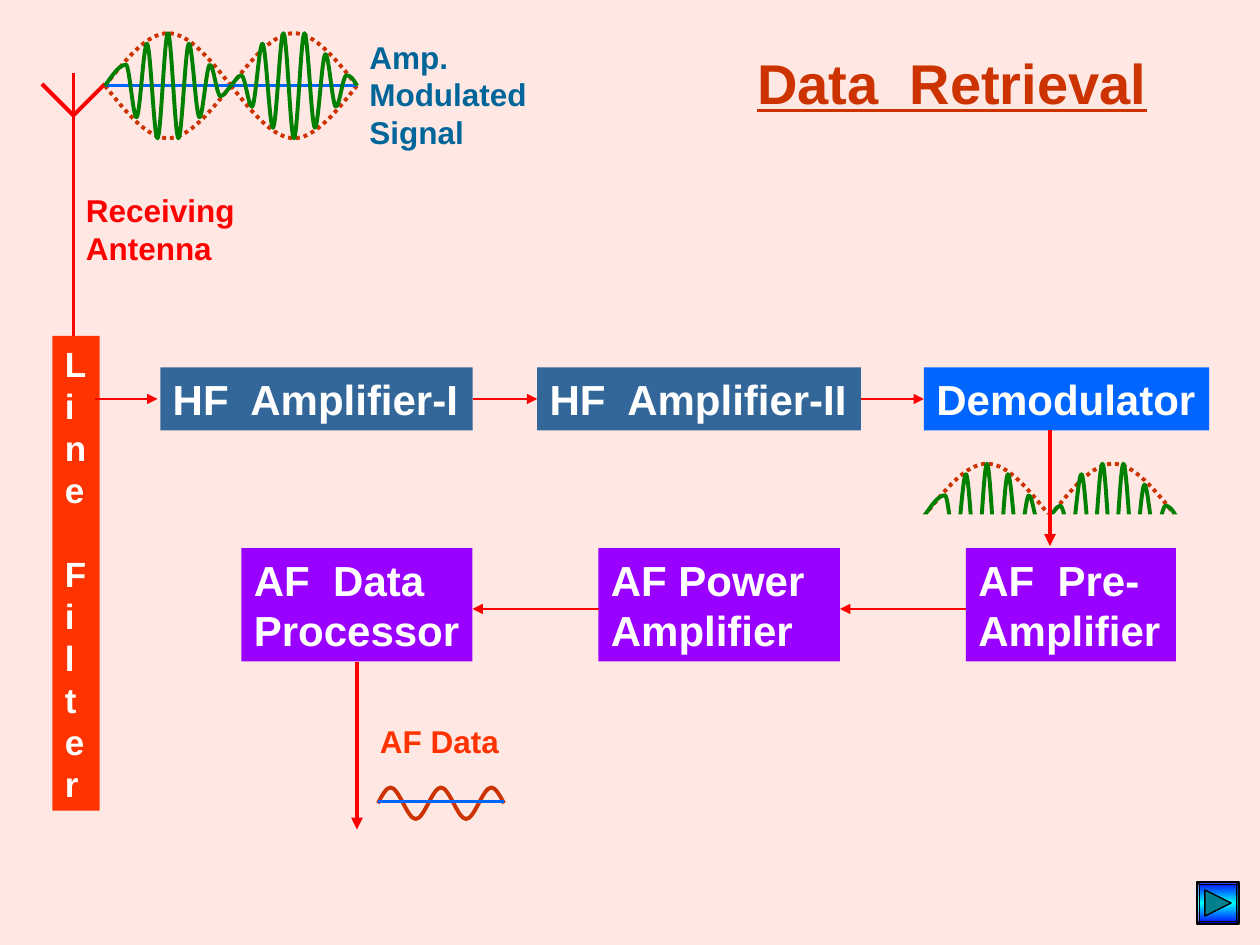
"""Build the Data Retrieval receiver block diagram slide."""
from dataclasses import dataclass
from copy import deepcopy

from lxml import etree
from pptx import Presentation
from pptx import util as u
from pptx.dml.color import RGBColor
from pptx.enum import dml, shapes, text
from pptx.oxml import ns

Pt = u.Pt
KIND = shapes.MSO_SHAPE


@dataclass(frozen=True)
class Theme:
    back: str = "FFE7E3"
    rust: str = "CC3300"
    red: str = "FF0000"
    flame: str = "FF3300"
    steel: str = "336699"
    blue: str = "0066FF"
    violet: str = "9900FF"
    teal: str = "006699"
    green: str = "008000"
    white: str = "FFFFFF"
    black: str = "000000"
    navy: str = "0000FF"
    cyan: str = "00FFFF"
    arrow: str = "007F8C"
    font: str = "Arial"
    head: int = 32
    large: int = 24
    mid: int = 20
    small: int = 18
    thick: float = 2.25
    thin: float = 1.5
    hair: float = 0.75


LOOK = Theme()
PEAKS = (-12, 18, -24, 30, -30, 30, -24, 18, -12, 6, 0,
         -6, 12, -24, 24, -30, 30, -30, 24, -18, 12, -6)


def tint(hue):
    return RGBColor.from_string(hue)


def apply(item, **values):
    for name, value in values.items():
        setattr(item, name, value)


def paint(shape, hue):
    shape.shadow.inherit = False
    shape.fill.solid()
    shape.fill.fore_color.rgb = tint(hue)
    shape.line.fill.background()


def stroke(line, hue, width):
    line.color.rgb = tint(hue)
    line.width = Pt(width)


def write(shape, words, size, hue, wrap=True, under=None):
    frame = shape.text_frame
    apply(frame, word_wrap=wrap, auto_size=text.MSO_AUTO_SIZE.SHAPE_TO_FIT_TEXT,
          vertical_anchor=text.MSO_ANCHOR.TOP, text=words)
    for para in frame.paragraphs:
        apply(para, alignment=text.PP_ALIGN.LEFT, line_spacing=Pt(1.2 * size))
        apply(para.font, name=LOOK.font, size=Pt(size), bold=True, underline=under)
        para.font.color.rgb = tint(hue)


def label(art, words, area, size, hue, **opts):
    write(art.add_textbox(*map(Pt, area)), words, size, hue, **opts)


def block(art, words, area, hue, size=LOOK.large, wrap=True):
    box = art.add_shape(KIND.RECTANGLE, *map(Pt, area))
    paint(box, hue)
    write(box, words, size, LOOK.white, wrap)
    return box


def wire(art, ends, hue=LOOK.red, width=LOOK.thick, tip=False, start=None, stop=None):
    link = art.add_connector(shapes.MSO_CONNECTOR.STRAIGHT, *map(Pt, ends))
    stroke(link.line, hue, width)
    if tip:
        etree.SubElement(link.line._get_or_add_ln(), ns.qn("a:tailEnd"), type="triangle")
    etree.SubElement(link._element.spPr, ns.qn("a:effectLst"))
    if start:
        link.begin_connect(*start)
    if stop:
        link.end_connect(*stop)


def trace(art, dots, hue, dash=None, close=False, width=LOOK.thick):
    dots = [(Pt(x), Pt(y)) for x, y in dots]
    form = art.build_freeform(*dots[0], scale=1.0)
    form.add_line_segments(dots[1:], close=close)
    shape = form.convert_to_shape()
    shape.shadow.inherit = False
    shape.fill.background()
    stroke(shape.line, hue, width)
    shape.line.dash_style = dash
    return shape


def bend(shape):
    """Turn each three line segments into one cubic curve."""
    legs = list(shape._element.iter(ns.qn("a:lnTo")))
    for i in range(0, len(legs), 3):
        curve = etree.Element(ns.qn("a:cubicBezTo"))
        legs[i].addprevious(curve)
        for leg in legs[i:i + 3]:
            curve.append(leg[0])
            leg.getparent().remove(leg)


def lobe(art, x, y, span, rise, dash=None):
    shape = ((0, 0), (1, 0.5), (2, 1), (3, 1), (4, 1), (5, 0.5), (6, 0))
    dots = [(x + span * across / 6, y - rise * up) for across, up in shape]
    bend(trace(art, dots, LOOK.rust, dash))


def swing(art, x, y):
    """Draw the carrier through its peaks, sloped only where it meets the axis."""
    knots = [(0, 0, -1.4)]
    knots += [(12 + 6 * i, peak, 0 if peak else -1) for i, peak in enumerate(PEAKS)]
    knots.append((144, 0, 2))
    dots = [(x, y)]
    for (left, high, out), (right, low, into) in zip(knots, knots[1:]):
        third = (right - left) / 3
        dots += [(x + left + third, y + high + out * third),
                 (x + right - third, y + low - into * third), (x + right, y + low)]
    bend(trace(art, dots, LOOK.green))


def signal(art, x, y, signs):
    for sign in signs:
        for side in (0, 72):
            lobe(art, x + side, y, 72, 30 * sign, dml.MSO_LINE.ROUND_DOT)
    if -1 in signs:
        wire(art, (x, y, x + 144, y), LOOK.blue, LOOK.thin)
    swing(art, x, y)


def button(art, x, y):
    key = art.add_shape(KIND.BEVEL, Pt(x), Pt(y), Pt(24), Pt(24))
    key.adjustments[0] = 0.06
    key.shadow.inherit = False
    key.fill.gradient()
    key.fill.gradient_angle = 90
    first = key.fill.gradient_stops[0]._gs
    first.addnext(deepcopy(first))
    for stop, hue, place in zip(key.fill.gradient_stops,
                                (LOOK.navy, LOOK.cyan, LOOK.navy), (0, 0.5, 1)):
        stop.color.rgb = tint(hue)
        stop.position = place
    stroke(key.line, LOOK.black, LOOK.hair)
    mark = trace(art, [(x + 4.5, y + 4.5), (x + 19.5, y + 12), (x + 4.5, y + 19.5)],
                 LOOK.black, close=True, width=LOOK.hair)
    mark.fill.solid()
    mark.fill.fore_color.rgb = tint(LOOK.arrow)


def main():
    deck = Presentation()
    apply(deck, slide_width=Pt(720), slide_height=Pt(540))
    slide = deck.slides.add_slide(deck.slide_layouts[6])
    slide.background.fill.solid()
    slide.background.fill.fore_color.rgb = tint(LOOK.back)
    art = slide.shapes

    label(art, "Data  Retrieval", (425.6, 24, 237.4, 45.6), LOOK.head, LOOK.rust,
          wrap=False, under=True)
    mast = art.add_group_shape().shapes
    for ends in ((42, 42, 42, 216), (24, 48, 42, 66), (42, 66, 60, 48)):
        wire(mast, ends)
    label(art, "Receiving Antenna", (42, 105.8, 126, 50.4), LOOK.small, LOOK.red)

    block(art, "Line\n Fi l ter", (30, 192, 27, 271.2), LOOK.flame, LOOK.mid)
    amp, boost, demod = [
        block(art, words, (x, 210, wide, 36), hue, wrap=False) for words, x, wide, hue in (
            ("HF  Amplifier-I", 91.6, 178.5, LOOK.steel),
            ("HF  Amplifier-II", 307, 185, LOOK.steel),
            ("Demodulator", 528, 163, LOOK.blue))]
    power = block(art, "AF Power Amplifier", (342, 313.2, 138, 64.8), LOOK.violet)
    data = block(art, "AF  Data Processor", (138, 313.2, 132, 64.8), LOOK.violet)
    label(art, "AF Data", (210, 409, 84, 28.8), LOOK.small, LOOK.flame, wrap=False)

    wire(art, (54, 228, 90, 228), width=LOOK.thin, tip=True)
    for left, right in ((amp, boost), (boost, demod)):
        wire(art, (270, 228, 306, 228), width=LOOK.thin, tip=True,
             start=(left, 3), stop=(right, 1))
    for x, end in ((552, 480), (342, 270)):
        wire(art, (x, 348, end, 348), width=LOOK.thin, tip=True)
    wire(art, (204, 378, 204, 474), tip=True, start=(data, 2))
    label(art, "Amp. Modulated Signal", (204, 18, 108, 72), LOOK.small, LOOK.teal)
    button(art, 684, 504)

    signal(art.add_group_shape().shapes, 60, 49, (1, -1))
    half = art.add_group_shape().shapes
    signal(half, 528, 295, (1,))
    paint(half.add_shape(KIND.RECTANGLE, Pt(522), Pt(294), Pt(156), Pt(36)), LOOK.back)
    wire(art, (600, 246, 600, 312), tip=True)
    block(art, "AF  Pre-Amplifier", (552, 313.2, 120, 64.8), LOOK.violet)

    tone = art.add_group_shape().shapes
    for i in range(5):
        lobe(tone, 216 + 14.4 * i, 459, 14.4, 9 * (-1) ** i)
    wire(tone, (216, 458, 288, 458), LOOK.blue, LOOK.thin)
    deck.save("out.pptx")


if __name__ == "__main__":
    main()
